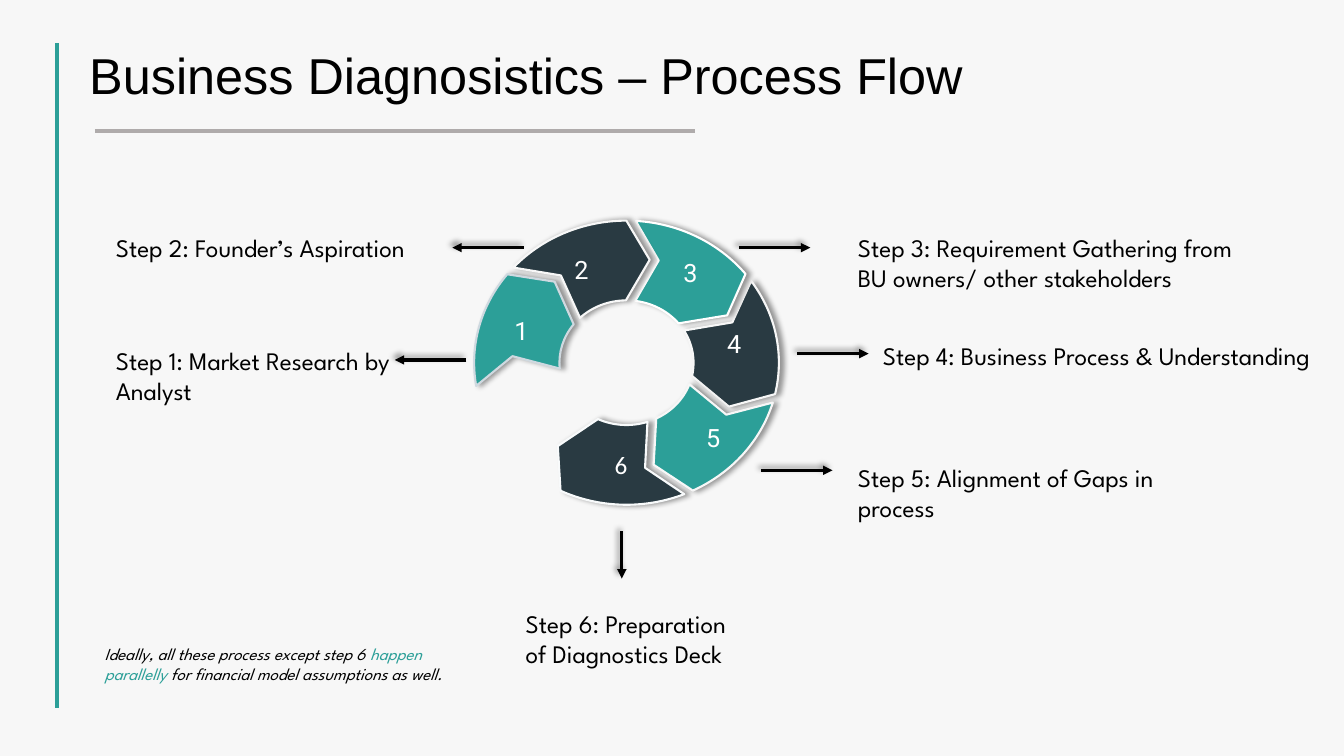
"""Build the business diagnostics process flow slide."""
from math import cos, radians, sin, tan

from pptx import Presentation
from pptx.dml.color import RGBColor
from pptx.enum import shapes, text
from pptx.oxml import parse_xml
from pptx.oxml.ns import nsdecls, qn
from pptx.util import Cm, Pt

HUES = {"teal": "2C9F98", "navy": "293A42", "grey": "AFABAB", "black": "000000",
        "white": "FFFFFF", "back": "F7F7F7", "pale": "CFD9E0", "snow": "F8FAFB"}

TITLE = "Business Diagnosistics – Process Flow"
STEPS = [
    ("Step 1: Market Research by Analyst", 2.67, 8.57, 7.82, 1.8),
    ("Step 2: Founder’s Aspiration", 2.67, 5.72, 7.82, 1.8),
    ("Step 3: Requirement Gathering from BU owners/ other stakeholders", 21.37, 5.72, 10.24, 2.57),
    ("Step 4: Business Process & Understanding", 22, 8.46, 11.86, 1.8),
    ("Step 5: Alignment of Gaps in process", 21.37, 11.52, 9.42, 1.8),
    ("Step 6: Preparation of Diagnostics Deck", 13, 15.2, 5.79, 2.57),
]
NOTE = [("Ideally, all these process except step 6 ", "black"),
        ("happen parallelly", "teal"),
        (" for financial model assumptions as well.", "black")]
ARROWS = [(11.75, 9.07, -1.8, 0), (15.67, 13.39, 0, 1.19), (20.09, 8.91, 1.8, 0),
          (19.18, 11.85, 1.8, 0), (18.62, 6.24, 1.8, 0), (13.2, 6.24, -1.8, 0)]
PARTS = [(4, "navy", "back", "Roboto"), (3, "teal", "white", "Roboto"),
         (6, "navy", "snow", "Calibri"), (5, "teal", "back", "Roboto"),
         (1, "teal", "pale", "Roboto"), (2, "navy", "back", "Roboto")]

MID = (15.79, 9.14)
OUTER = (3.84, 3.58)
INNER = (1.69, 1.57)
FIRST, PITCH, ARC = 170.6, 360 / 7, 47.9


def rgb(hue):
    """Return the colour of a named hue."""
    return RGBColor.from_string(HUES[hue])


def shade(item, turn=None):
    """Give an item a soft shadow, or none when no direction is set."""
    glow = "" if turn is None else (
        f'<a:outerShdw blurRad="{Pt(4)}" dist="{Pt(3)}" dir="{turn * 60000}" algn="ctr" '
        f'rotWithShape="0"><a:srgbClr val="{HUES["black"]}"><a:alpha val="40000"/>'
        '</a:srgbClr></a:outerShdw>')
    item._element.spPr.append(parse_xml(f'<a:effectLst {nsdecls("a")}>{glow}</a:effectLst>'))


def rule(slide, x, y, dx, dy, hue, width, arrow=False):
    """Draw a straight line, with an arrowhead if asked."""
    line = slide.shapes.add_connector(
        shapes.MSO_CONNECTOR.STRAIGHT, Cm(x), Cm(y), Cm(x + dx), Cm(y + dy))
    line.line.color.rgb = rgb(hue)
    line.line.width = Pt(width)
    if arrow:
        line.line._get_or_add_ln().append(
            parse_xml(f'<a:tailEnd {nsdecls("a")} type="triangle"/>'))
    shade(line, 225 if arrow else None)


def inset(frame):
    """Set equal margins on all sides of a text frame."""
    frame.margin_left = frame.margin_right = Cm(0.25)
    frame.margin_top = frame.margin_bottom = Cm(0.25)


def write(slide, runs, x, y, w, h, size, face="League Spartan"):
    """Add a wrapping text box and return its frame."""
    frame = slide.shapes.add_textbox(Cm(x), Cm(y), Cm(w), Cm(h)).text_frame
    frame.word_wrap = True
    para = frame.paragraphs[0]
    para.font.size, para.font.name = Pt(size), face
    for words, hue in runs:
        run = para.add_run()
        run.text = words
        run.font.color.rgb = rgb(hue)
    return frame


def spot(angle, size=OUTER, reach=1.0, lean=0.0):
    """Return a point on an ellipse, moved along its tangent by lean."""
    turn = radians(angle)
    return (Cm(MID[0] + size[0] * (reach * cos(turn) - lean * sin(turn))),
            Cm(MID[1] + size[1] * (reach * sin(turn) + lean * cos(turn))))


def curve(start, end, size):
    """Return the four control points of an elliptic arc."""
    lean = 4 / 3 * tan(radians(end - start) / 4)
    return [spot(start, size), spot(start, size, lean=lean),
            spot(end, size, lean=-lean), spot(end, size)]


def bend(part, first):
    """Merge three line segments, counted from first, into one curve."""
    lines = list(part._element.iter(qn("a:lnTo")))[first:first + 3]
    arc = parse_xml(f'<a:cubicBezTo {nsdecls("a")}/>')
    lines[0].addprevious(arc)
    for line in lines:
        arc.append(line[0])
        line.getparent().remove(line)


def wedge(slide, num, fill, edge, face):
    """Draw one numbered arrow segment of the ring."""
    start = FIRST + PITCH * (num - 1)
    end = start + ARC
    dots = (curve(start, end, OUTER) + [spot(end + 11.9, reach=0.74)]
            + curve(end - 0.5, start + 4, INNER) + [spot(start + 12.9, reach=0.75)])
    pen = slide.shapes.build_freeform(*dots[0])
    pen.add_line_segments(dots[1:], close=True)
    part = pen.convert_to_shape()
    for first in (5, 0):
        bend(part, first)
    part.fill.solid()
    part.fill.fore_color.rgb = rgb(fill)
    part.line.color.rgb = rgb(edge)
    part.line.width = Pt(1.5)
    shade(part, 0)
    frame = part.text_frame
    frame.vertical_anchor = text.MSO_ANCHOR.MIDDLE
    inset(frame)
    para = frame.paragraphs[0]
    para.text = str(num)
    para.alignment = text.PP_ALIGN.CENTER
    para.font.size, para.font.name = Pt(18), face
    para.font.color.rgb = rgb("white")


def main():
    """Lay out the slide and save it."""
    deck = Presentation()
    deck.slide_width, deck.slide_height = Cm(33.87), Cm(19.05)
    slide = deck.slides.add_slide(deck.slide_layouts[6])
    slide.background.fill.solid()
    slide.background.fill.fore_color.rgb = rgb("back")

    rule(slide, 1.44, 1.09, 0, 16.76, "teal", 3.25)
    head = write(slide, [(TITLE, "black")], 2, 1.03, 24.71, 2.57, 36, "Arial")
    inset(head)
    head.paragraphs[0].line_spacing = 0.9
    rule(slide, 2.39, 3.3, 15.13, 0, "grey", 3)
    for part in PARTS:
        wedge(slide, *part)
    for arrow in ARROWS:
        rule(slide, *arrow, "black", 2.25, True)
    for words, *place in STEPS:
        write(slide, [(words, "black")], *place, 18)
    note = write(slide, NOTE, 2.39, 16.09, 9.88, 1.8, 12)
    note.paragraphs[0].font.italic = True
    deck.save("out.pptx")


if __name__ == "__main__":
    main()
